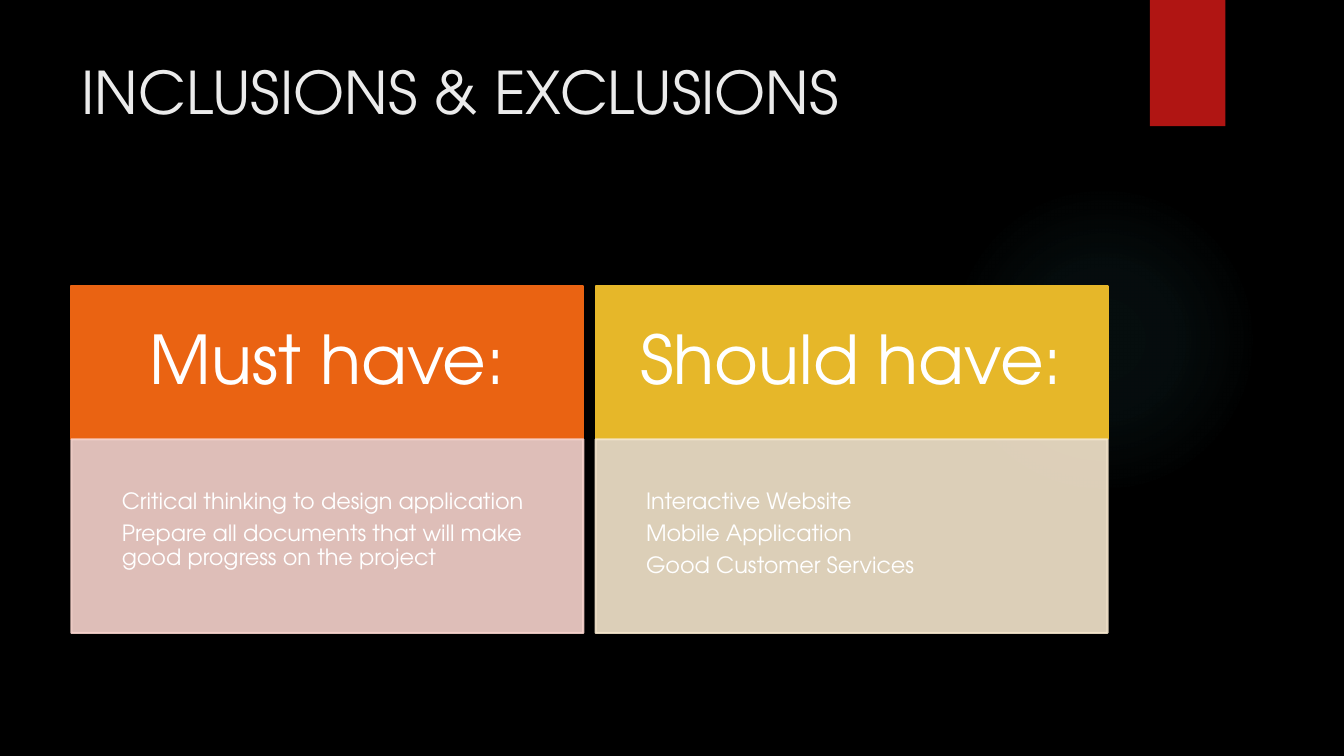
from lxml import etree
from pptx import Presentation
from pptx.dml.color import RGBColor
from pptx.enum.shapes import MSO_SHAPE
from pptx.enum.text import MSO_ANCHOR, MSO_AUTO_SIZE, PP_ALIGN
from pptx.oxml import parse_xml
from pptx.oxml.ns import nsdecls, qn
from pptx.util import Cm, Pt

FONT = "TeX Gyre Adventor"
BLACK = RGBColor(0x00, 0x00, 0x00)
WHITE = RGBColor(0xFF, 0xFF, 0xFF)
TITLE_GREY = RGBColor(0xEB, 0xEB, 0xEB)
RED = RGBColor(0xB0, 0x15, 0x13)
TEAL = RGBColor(0x50, 0xB9, 0xC1)
ORANGE = RGBColor(0xEA, 0x63, 0x12)
PALE_ORANGE = RGBColor(0xF7, 0xD3, 0xCC)
GOLD = RGBColor(0xE6, 0xB7, 0x29)
PALE_GOLD = RGBColor(0xF5, 0xE6, 0xCD)

LEFT, CENTER = PP_ALIGN.LEFT, PP_ALIGN.CENTER
TOP, MIDDLE = MSO_ANCHOR.TOP, MSO_ANCHOR.MIDDLE
NO_AUTOFIT = MSO_AUTO_SIZE.NONE
RECTANGLE, OVAL = MSO_SHAPE.RECTANGLE, MSO_SHAPE.OVAL

COMPARISON_LAYOUT = 4
MARGIN = Cm(1.8)
CARD_WIDTH = Cm(12.9)
CARD_PITCH = Cm(13.21)
HEADING_TOP, HEADING_HEIGHT = Cm(7.21), Cm(3.86)
LIST_HEIGHT = Cm(4.88)

CARDS = [
    ("Must have:", ORANGE, PALE_ORANGE,
     ["Critical thinking to design application",
      "Prepare all documents that will make good progress on the project"]),
    ("Should have:", GOLD, PALE_GOLD,
     ["Interactive Website", "Mobile Application", "Good Customer Services"]),
]


def place(shape, left, top, width, height):
    shape.left, shape.top, shape.width, shape.height = left, top, width, height


def write(shape, lines, size, color, align=LEFT, anchor=TOP, inset=None,
          line_spacing=1.0, space_after=0):
    """Fill a placeholder with plain, unbulleted paragraphs."""
    frame = shape.text_frame
    frame.text = "\n".join(lines)
    frame.word_wrap = True
    frame.auto_size = NO_AUTOFIT
    frame.vertical_anchor = anchor
    if inset is not None:
        frame.margin_left = frame.margin_right = inset
        frame.margin_top = frame.margin_bottom = inset
    for paragraph in frame.paragraphs:
        paragraph.alignment = align
        paragraph.line_spacing = line_spacing
        paragraph.space_before = Pt(0)
        paragraph.space_after = Pt(space_after)
        properties = paragraph._p.get_or_add_pPr()
        properties.set("marL", "0")
        properties.set("indent", "0")
        etree.SubElement(properties, qn("a:buNone"))
        for run in paragraph.runs:
            run.font.name = FONT
            run.font.size = Pt(size)
            run.font.bold = False
            run.font.color.rgb = color


def paint(shape, color, opacity=100):
    """Give the fill and the outline one colour and opacity."""
    shape.fill.solid()
    shape.fill.fore_color.rgb = color
    shape.line.color.rgb = color
    shape.line.width = Pt(1.5)
    if opacity < 100:
        for tint in shape._element.spPr.iter(qn("a:srgbClr")):
            etree.SubElement(tint, qn("a:alpha"), val=str(opacity * 1000))


def add_decoration(slide, kind, left, top, width, height):
    """Add a shape without outline or shadow behind the text."""
    shape = slide.shapes.add_shape(kind, left, top, width, height)
    shape.shadow.inherit = False
    shape.line.fill.background()
    slide.shapes._spTree.insert(2, shape._element)
    return shape


def add_glow(slide):
    glow = add_decoration(slide, OVAL, Cm(23.9), Cm(4.65), Cm(7.82), Cm(7.82))
    stops = "".join(
        f'<a:gs pos="{position * 1000}"><a:srgbClr val="{TEAL}">'
        f'<a:alpha val="{opacity * 1000}"/></a:srgbClr></a:gs>'
        for position, opacity in [(0, 7), (36, 6), (69, 0), (100, 0)])
    gradient = parse_xml(
        f'<a:gradFill {nsdecls("a")}><a:gsLst>{stops}</a:gsLst>'
        '<a:path path="circle"><a:fillToRect l="50000" t="50000" '
        'r="50000" b="50000"/></a:path></a:gradFill>')
    glow._element.spPr.find(qn("a:prstGeom")).addnext(gradient)


def add_ribbon(slide):
    ribbon = add_decoration(slide, RECTANGLE, Cm(28.98), Cm(0), Cm(1.9), Cm(3.18))
    ribbon.fill.solid()
    ribbon.fill.fore_color.rgb = RED


def fill_card(heading, items, left, card):
    title, strong, pale, lines = card
    place(heading, left, HEADING_TOP, CARD_WIDTH, HEADING_HEIGHT)
    paint(heading, strong)
    write(heading, [title], 48, WHITE, CENTER, MIDDLE, Cm(1.02), 0.9)
    place(items, left, HEADING_TOP + HEADING_HEIGHT, CARD_WIDTH, LIST_HEIGHT)
    paint(items, pale, 90)
    write(items, lines, 16, WHITE, inset=Cm(1.27), line_spacing=0.9, space_after=5.6)


def main():
    deck = Presentation()
    deck.slide_width, deck.slide_height = Cm(33.87), Cm(19.05)
    slide = deck.slides.add_slide(deck.slide_layouts[COMPARISON_LAYOUT])
    slide.background.fill.solid()
    slide.background.fill.fore_color.rgb = BLACK

    title, *card_parts = slide.placeholders
    place(title, MARGIN, Cm(1.27), Cm(26.14), Cm(3.89))
    write(title, ["INCLUSIONS & EXCLUSIONS"], 42, TITLE_GREY)
    for index, card in enumerate(CARDS):
        heading, items = card_parts[2 * index:2 * index + 2]
        fill_card(heading, items, MARGIN + index * CARD_PITCH, card)

    add_ribbon(slide)
    add_glow(slide)
    deck.save("out.pptx")


if __name__ == "__main__":
    main()
